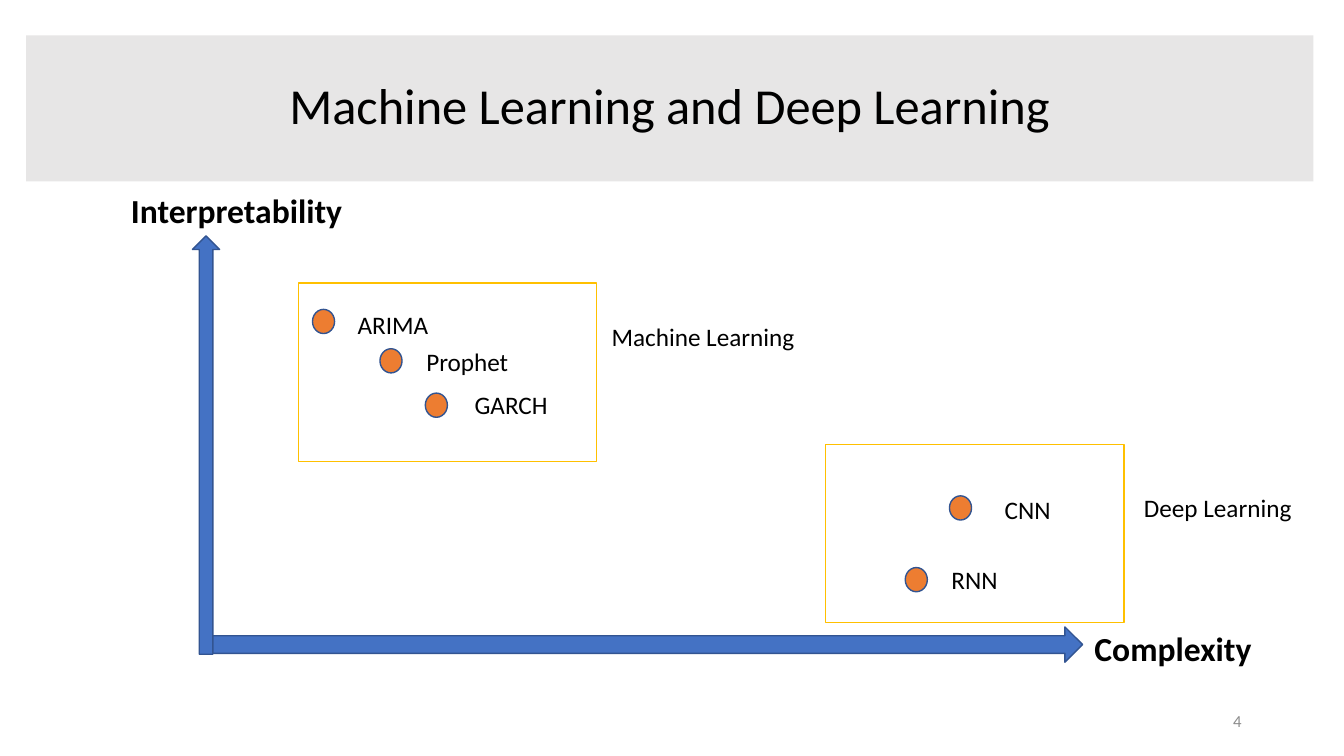
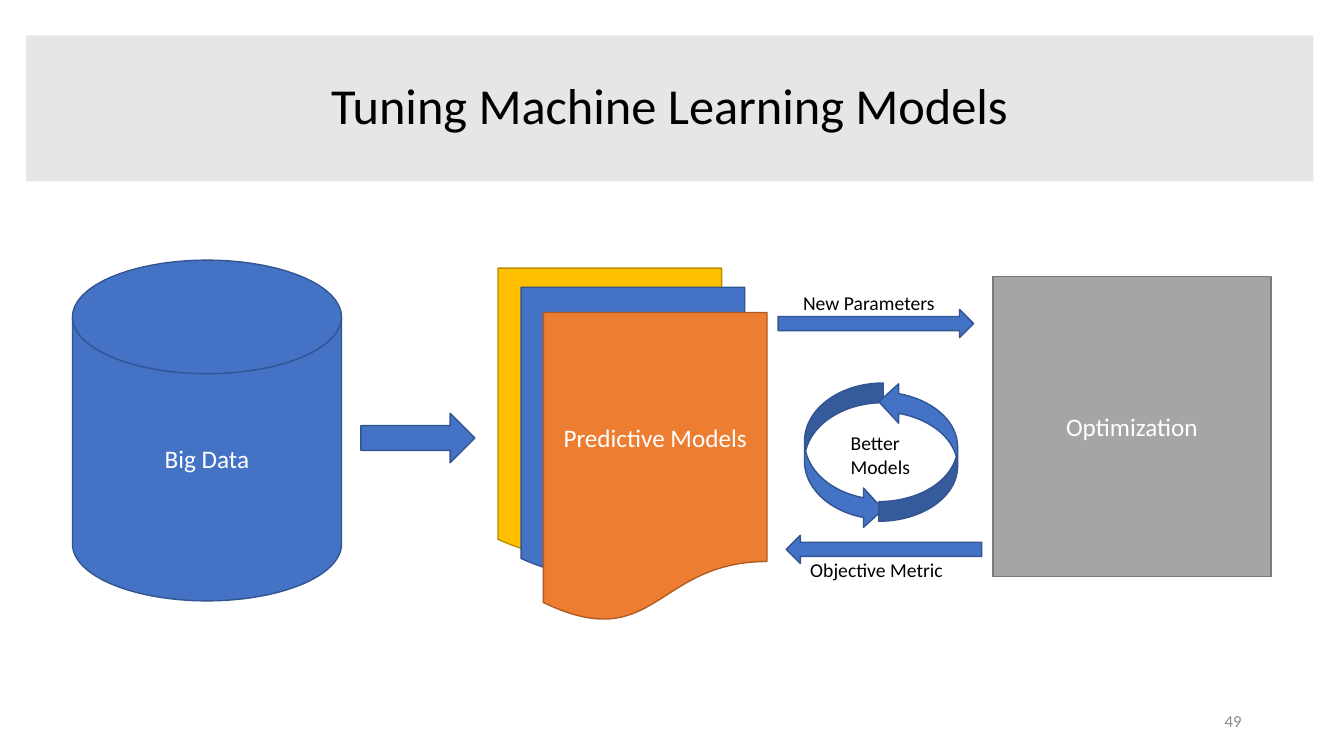
from pptx import Presentation
from pptx.dml.color import RGBColor
from pptx.enum.shapes import MSO_SHAPE
from pptx.enum.text import MSO_ANCHOR, PP_ALIGN
from pptx.util import Pt

COLORS = {
    "band": "E7E6E6", "text": "000000", "light": "FFFFFF", "page": "8C8C8C",
    "blue": "4472C4", "blue_edge": "325491",
    "orange": "ED7D31", "orange_edge": "AF5C24",
    "gold": "FFC000", "gold_edge": "BD8E00",
    "gray": "A5A5A5", "gray_edge": "7A7A7A",
}
FONT = "Calibri"


def add_text(shape, text, size, color="text", bold=False, align=PP_ALIGN.LEFT,
             anchor=MSO_ANCHOR.TOP, wrap=True):
    frame = shape.text_frame
    frame.word_wrap = wrap
    frame.vertical_anchor = anchor
    frame.text = text
    paragraph = frame.paragraphs[0]
    paragraph.alignment = align
    paragraph.font.name = FONT
    paragraph.font.size = Pt(size)
    paragraph.font.bold = bold
    paragraph.font.color.rgb = RGBColor.from_string(COLORS[color])
    return paragraph


def add_figure(slide, kind, box, fill="blue", edge="blue_edge", text=None):
    figure = slide.shapes.add_shape(kind, *map(Pt, box))
    figure.shadow.inherit = False
    if fill:
        figure.fill.solid()
        figure.fill.fore_color.rgb = RGBColor.from_string(COLORS[fill])
    else:
        figure.fill.background()
    figure.line.color.rgb = RGBColor.from_string(COLORS[edge])
    figure.line.width = Pt(1)
    if text:
        add_text(figure, text, 18, "light", align=PP_ALIGN.CENTER, anchor=MSO_ANCHOR.MIDDLE)
    return figure


prs = Presentation()
prs.slide_width, prs.slide_height = Pt(960), Pt(540)

slides = []
for heading, page in [("Machine Learning and Deep Learning", "4"),
                      ("Tuning Machine Learning Models", "49")]:
    slide = prs.slides.add_slide(prs.slide_layouts[5])
    title = slide.shapes.title
    title.left, title.top, title.width, title.height = Pt(18.7), Pt(25.2), Pt(919.4), Pt(104.4)
    title.fill.solid()
    title.fill.fore_color.rgb = RGBColor.from_string(COLORS["band"])
    add_text(title, heading, 36, align=PP_ALIGN.CENTER, anchor=MSO_ANCHOR.MIDDLE).line_spacing = 0.9
    page_number = slide.shapes.add_textbox(Pt(678), Pt(500.4), Pt(216), Pt(28.8))
    add_text(page_number, page, 12, "page", align=PP_ALIGN.RIGHT, anchor=MSO_ANCHOR.MIDDLE)
    slides.append(slide)

comparison, tuning = slides

add_figure(comparison, MSO_SHAPE.RIGHT_ARROW, (144, 447.8, 629.3, 25.2))
add_figure(comparison, MSO_SHAPE.UP_ARROW, (137.5, 168.5, 19.4, 298.8))
for axis, left, top, width in [("Complexity", 774.7, 445, 136),
                               ("Interpretability", 86.4, 131.8, 172)]:
    axis_label = comparison.shapes.add_textbox(Pt(left), Pt(top), Pt(width), Pt(36))
    add_text(axis_label, axis, 24, bold=True)

for family, left, top, label_left, label_top, label_width in [
    ("Machine Learning", 213.1, 202.3, 429.8, 226.1, 146.9),
    ("Deep Learning", 589.7, 317.5, 810, 347.8, 121.7),
]:
    add_figure(comparison, MSO_SHAPE.RECTANGLE, (left, top, 213.1, 127.4), None, "gold")
    family_label = comparison.shapes.add_textbox(
        Pt(label_left), Pt(label_top), Pt(label_width), Pt(28.8))
    add_text(family_label, family, 18, wrap=False)

for model, left, top, label_left, label_top in [
    ("ARIMA", 223.2, 221, 248.4, 217.4),
    ("Prophet", 271.4, 249.1, 297.4, 244.1),
    ("GARCH", 303.8, 280.8, 331.9, 274.3),
    ("CNN", 678.2, 354.2, 710.6, 349.2),
    ("RNN", 646.6, 405.4, 672.5, 399.6),
]:
    add_figure(comparison, MSO_SHAPE.OVAL, (left, top, 15.8, 17.3), "orange")
    model_label = comparison.shapes.add_textbox(
        Pt(label_left), Pt(label_top), Pt(77), Pt(28.8))
    add_text(model_label, model, 18)

add_figure(tuning, MSO_SHAPE.FLOWCHART_MAGNETIC_DISK, (51.8, 185.8, 192.2, 243.4), text="Big Data")
for color, left, top, height, text in [
    ("gold", 355.7, 191.5, 207.4, None),
    ("blue", 372.2, 205.2, 207.4, None),
    ("orange", 388.1, 223.2, 221.8, "Predictive Models"),
]:
    add_figure(tuning, MSO_SHAPE.FLOWCHART_DOCUMENT, (left, top, 159.8, height),
               color, color + "_edge", text)
add_figure(tuning, MSO_SHAPE.RECTANGLE, (709.2, 197.3, 198.7, 214.6),
           "gray", "gray_edge", "Optimization")

for kind, box in [
    (MSO_SHAPE.RIGHT_ARROW, (257.8, 295.2, 81.4, 35.3)),
    (MSO_SHAPE.RIGHT_ARROW, (555.8, 221, 139.7, 20.2)),
    (MSO_SHAPE.LEFT_ARROW, (561.6, 382.3, 139.7, 20.2)),
]:
    add_figure(tuning, kind, box)

for step, left, top, width, height in [
    ("New Parameters", 566.6, 204.5, 117.4, 24.5),
    ("Objective Metric", 571.7, 395.3, 112.3, 24.5),
    ("Better Models", 600.5, 304.6, 66.2, 41),
]:
    step_label = tuning.shapes.add_textbox(Pt(left), Pt(top), Pt(width), Pt(height))
    add_text(step_label, step, 14)

for box, rotation in [((574.6, 273.6, 56.2, 104.4), 0), ((627.8, 272.9, 56.2, 99.4), 180)]:
    add_figure(tuning, MSO_SHAPE.CURVED_RIGHT_ARROW, box).rotation = rotation

prs.save("out.pptx")
